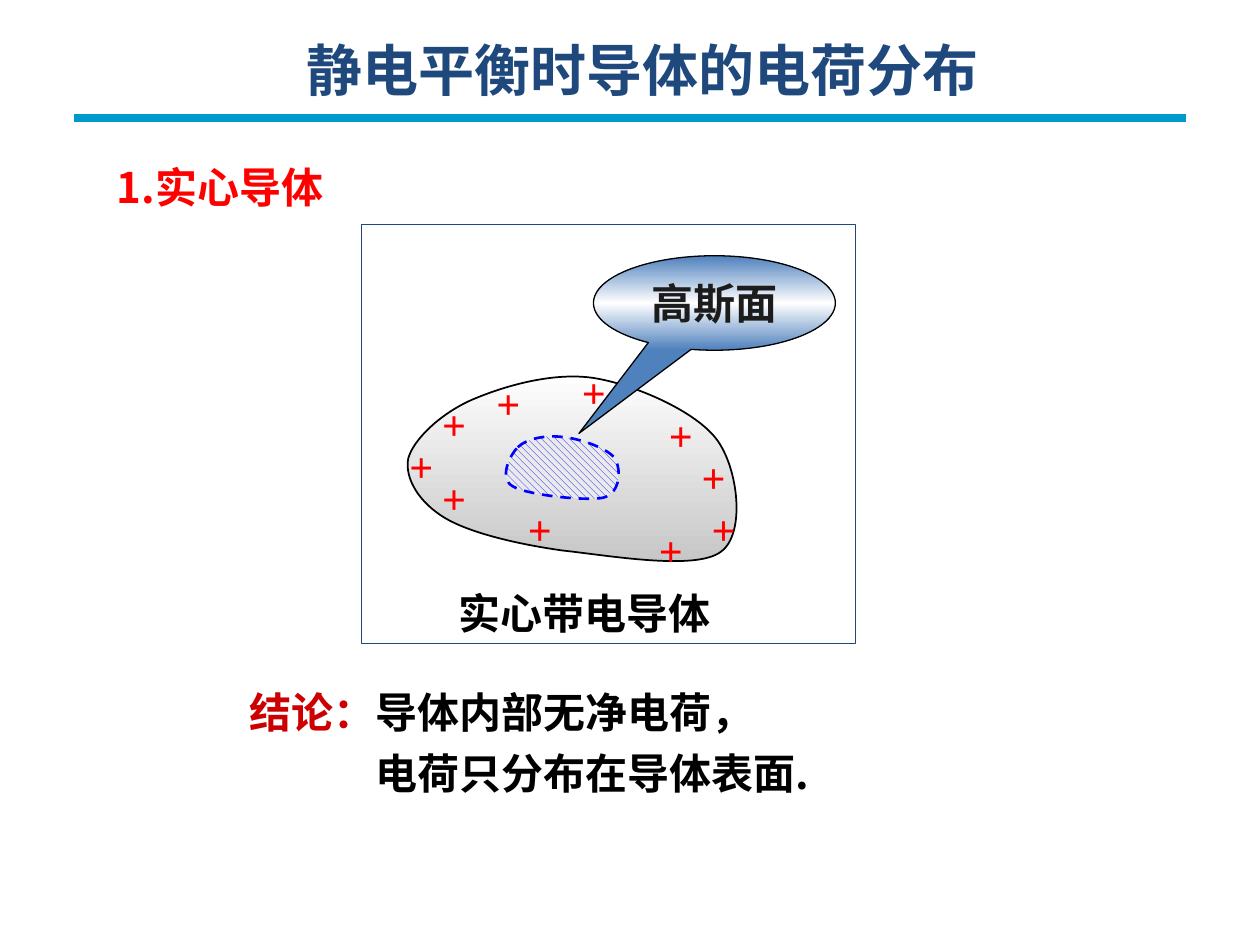
from lxml.etree import SubElement
from pptx import Presentation
from pptx.dml.color import RGBColor
from pptx.enum.dml import MSO_LINE, MSO_PATTERN
from pptx.enum.shapes import MSO_CONNECTOR, MSO_SHAPE
from pptx.enum.text import MSO_ANCHOR, MSO_AUTO_SIZE, PP_ALIGN
from pptx.oxml.ns import qn
from pptx.util import Inches, Pt

COLORS = {
    "title": "1F497D", "rule": "0099CC", "red": "FF0000", "dark_red": "CC0000",
    "black": "000000", "near_black": "1C1C1C", "white": "FFFFFF", "gray": "C4C4C4",
    "pale": "EAEAEA", "blue": "0000FF", "steel": "4F81BD",
}
SANS = "Noto Sans CJK SC"
TITLE_FONT = "Noto Sans CJK JP"
SERIF = "Times New Roman"

CONDUCTOR_BOX = (3.21, 2.95, 2.72, 1.58)
CONDUCTOR = [
    (3.24, 3.64),
    [(3.28, 3.49), (3.49, 3.29), (3.73, 3.18)],
    [(3.98, 3.07), (4.38, 2.95), (4.71, 3.0)],
    [(5.03, 3.05), (5.52, 3.26), (5.69, 3.49)],
    [(5.86, 3.72), (5.92, 4.24), (5.72, 4.38)],
    [(5.52, 4.53), (4.84, 4.41), (4.47, 4.37)],
    [(4.11, 4.32), (3.73, 4.23), (3.53, 4.11)],
    [(3.33, 3.99), (3.21, 3.8), (3.24, 3.64)],
]
SURFACE_BOX = (3.96, 3.45, 0.98, 0.53)
GAUSSIAN_SURFACE = [
    (4.11, 3.55),
    [(4.18, 3.48), (4.34, 3.45), (4.47, 3.47)],
    [(4.6, 3.48), (4.83, 3.56), (4.88, 3.64)],
    [(4.93, 3.72), (4.93, 3.91), (4.79, 3.95)],
    [(4.66, 3.98), (4.18, 3.93), (4.07, 3.86)],
    [(3.96, 3.8), (4.04, 3.62), (4.11, 3.55)],
]
CHARGES = [
    (3.84, 2.95), (4.52, 2.86), (5.21, 3.2), (5.47, 3.53), (5.55, 3.95),
    (5.13, 4.11), (4.09, 3.95), (3.41, 3.11), (3.15, 3.45), (3.41, 3.7),
]


def rgb(name):
    return RGBColor.from_string(COLORS[name])


def add_run(paragraph, text, color, font=SANS, size=24, east_asian=SANS):
    run = paragraph.add_run()
    run.text = text
    for name, value in {"name": font, "size": Pt(size), "bold": True}.items():
        setattr(run.font, name, value)
    run.font.color.rgb = rgb(color)
    SubElement(run._r.get_or_add_rPr(), qn("a:ea"), typeface=east_asian)


def format_frame(shape, wrap=True, anchor=MSO_ANCHOR.MIDDLE):
    frame = shape.text_frame
    settings = {"word_wrap": wrap, "auto_size": MSO_AUTO_SIZE.NONE, "vertical_anchor": anchor}
    for name, value in settings.items():
        setattr(frame, name, value)
    return frame


def place(shape, box):
    for name, value in zip(("left", "top", "width", "height"), box):
        setattr(shape, name, Inches(value))


def add_label(shapes, box, text, color, font=SANS, wrap=True):
    label = shapes.add_textbox(*map(Inches, box))
    add_run(format_frame(label, wrap).paragraphs[0], text, color, font)


def set_line(shape, color, width):
    shape.line.color.rgb = rgb(color)
    shape.line.width = Pt(width)


def set_gradient(shape, stops):
    shape.fill.gradient()
    shape.fill.gradient_angle = 270
    stop_list = shape._element.spPr.find(".//" + qn("a:gsLst"))
    for stop in list(stop_list):
        stop_list.remove(stop)
    for position, color in stops:
        stop = SubElement(stop_list, qn("a:gs"), pos=str(position * 1000))
        SubElement(stop, qn("a:srgbClr"), val=COLORS[color])


def add_blob(shapes, outline, box):
    left, top, width, height = box
    start, *curves = outline
    builder = shapes.build_freeform(*map(Inches, start))
    builder.add_line_segments([tuple(map(Inches, curve[-1])) for curve in curves])
    blob = builder.convert_to_shape()
    place(blob, box)
    outline_path = blob._element.spPr.find(".//" + qn("a:path"))
    outline_path.set("w", str(Inches(width)))
    outline_path.set("h", str(Inches(height)))
    for child in list(outline_path):
        outline_path.remove(child)
    for tag, points in [("a:moveTo", [start])] + [("a:cubicBezTo", curve) for curve in curves]:
        segment = SubElement(outline_path, qn(tag))
        for x, y in points:
            SubElement(segment, qn("a:pt"), x=str(Inches(x - left)), y=str(Inches(y - top)))
    SubElement(outline_path, qn("a:close"))
    blob.shadow.inherit = False
    return blob


def add_title(slide):
    title = slide.shapes.title
    place(title, (2.05, 0.23, 6.1, 0.64))
    paragraph = format_frame(title).paragraphs[0]
    paragraph.alignment = PP_ALIGN.CENTER
    add_run(paragraph, "静电平衡时导体的电荷分布", "title", TITLE_FONT, 32, TITLE_FONT)


def add_rule(shapes):
    rule = shapes.add_connector(MSO_CONNECTOR.STRAIGHT, *map(Inches, (0.59, 0.94, 9.41, 0.94)))
    set_line(rule, "rule", 4.5)
    SubElement(rule._element.spPr, qn("a:effectLst"))


def add_conductor(shapes):
    conductor = add_blob(shapes, CONDUCTOR, CONDUCTOR_BOX)
    set_gradient(conductor, [(0, "white"), (100, "gray")])
    set_line(conductor, "black", 1)
    charges = shapes.add_group_shape()
    for left, top in CHARGES:
        add_label(charges.shapes, (left, top, 0.39, 0.5), "+", "red", SERIF, wrap=False)


def add_gaussian_surface(shapes):
    group = shapes.add_group_shape()
    surface = add_blob(group.shapes, GAUSSIAN_SURFACE, SURFACE_BOX)
    surface.fill.patterned()
    surface.fill.pattern = MSO_PATTERN.WIDE_DOWNWARD_DIAGONAL
    surface.fill.fore_color.rgb = rgb("blue")
    surface.fill.back_color.rgb = rgb("pale")
    set_line(surface, "blue", 1.5)
    surface.line.dash_style = MSO_LINE.DASH

    callout = group.shapes.add_shape(MSO_SHAPE.OVAL_CALLOUT, *map(Inches, (4.71, 2.03, 1.92, 0.75)))
    callout.shadow.inherit = False
    callout.adjustments[0] = -0.56
    callout.adjustments[1] = 1.38
    set_gradient(callout, [(0, "steel"), (50, "white"), (100, "steel")])
    set_line(callout, "black", 0.75)
    paragraph = format_frame(callout).paragraphs[0]
    paragraph.alignment = PP_ALIGN.CENTER
    add_run(paragraph, "高斯面", "near_black", SERIF)


def add_border(shapes):
    border = shapes.add_shape(MSO_SHAPE.RECTANGLE, *map(Inches, (2.87, 1.78, 3.92, 3.33)))
    border.shadow.inherit = False
    border.fill.background()
    set_line(border, "title", 0.75)


def add_conclusion(shapes):
    box = shapes.add_textbox(*map(Inches, (1.88, 5.32, 5.01, 1.02)))
    frame = format_frame(box, anchor=MSO_ANCHOR.TOP)
    first, second = frame.paragraphs[0], frame.add_paragraph()
    for paragraph, indent in ((first, -1), (second, 0)):
        paragraph.line_spacing = 1.2
        properties = paragraph._p.get_or_add_pPr()
        properties.set("marL", str(Inches(1)))
        properties.set("indent", str(Inches(indent)))
    add_run(first, "结论：", "dark_red")
    add_run(first, "导体内部无净电荷，", "black")
    add_run(second, "电荷只分布在导体表面.", "black")


def main():
    presentation = Presentation()
    presentation.slide_width = Inches(10)
    presentation.slide_height = Inches(7.5)
    slide = presentation.slides.add_slide(presentation.slide_layouts[5])
    shapes = slide.shapes
    add_rule(shapes)
    add_title(slide)
    add_label(shapes, (0.83, 1.23, 2.71, 0.5), "1.实心导体", "red")
    add_conductor(shapes)
    add_gaussian_surface(shapes)
    add_border(shapes)
    add_label(shapes, (3.54, 4.61, 2.33, 0.5), "实心带电导体", "black", "Arial")
    add_conclusion(shapes)
    presentation.save("out.pptx")


if __name__ == "__main__":
    main()
